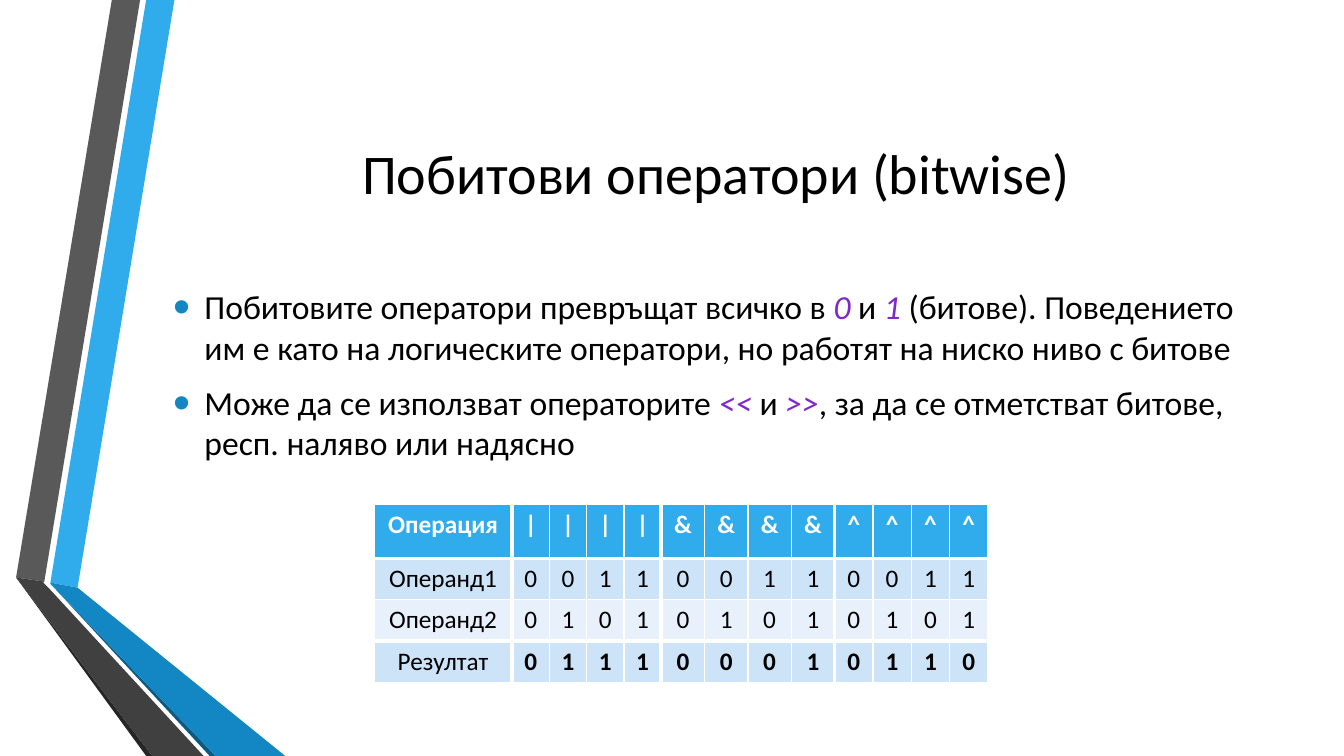
"""Build a slide on bitwise operators with a truth table."""
from pptx import Presentation
from pptx.dml.color import RGBColor
from pptx.enum.text import MSO_ANCHOR as ANCHOR, PP_ALIGN as ALIGN
from pptx.oxml.ns import qn
from pptx.util import Inches, Pt
from lxml.etree import SubElement, Element

FONT = "Calibri"
BLACK = RGBColor(0x00, 0x00, 0x00)
WHITE = RGBColor(0xFF, 0xFF, 0xFF)
PURPLE = RGBColor(0x7E, 0x28, 0xCD)
SKY = RGBColor(0x30, 0xAC, 0xEC)
BLUE = RGBColor(0x12, 0x87, 0xC3)
NAVY = RGBColor(0x0C, 0x5A, 0x82)
GRAY = RGBColor(0x59, 0x59, 0x59)
DARK_GRAY = RGBColor(0x40, 0x40, 0x40)
CHARCOAL = RGBColor(0x26, 0x26, 0x26)
BAND = RGBColor(0xCD, 0xE3, 0xF8)
PALE_BAND = RGBColor(0xE8, 0xF1, 0xFB)

RIBBONS = [
    (SKY, [(0.5, 5.78), (0.77, 5.83), (1.73, 0), (1.45, 0)]),
    (GRAY, [(1.39, 0), (1.11, 0), (0.16, 5.73), (0.44, 5.77)]),
    (CHARCOAL, [(0.16, 5.73), (1.45, 7.5), (1.51, 7.5)]),
    (NAVY, [(0.5, 5.79), (2.08, 7.5), (2.14, 7.5)]),
    (BLUE, [(0.5, 5.79), (2.14, 7.5), (2.83, 7.5), (0.77, 5.83), (0.5, 5.78)]),
    (DARK_GRAY, [(2.02, 7.5), (0.48, 5.83), (0.43, 5.78), (0.44, 5.77),
                 (0.16, 5.73), (1.51, 7.5)]),
]

TITLE = "Побитови оператори (bitwise)"
BULLETS = [
    [("Побитовите оператори превръщат всичко в ", False), ("0 ", True),
     ("и ", False), ("1", True),
     (" (битове). Поведението им е като на логическите оператори, "
      "но работят на ниско ниво с битове", False)],
    [("Може да се използват операторите ", False), ("<<", True),
     (" и ", False), (">>", True),
     (", за да се отметстват битове, респ. наляво или надясно", False)],
]

TRUTH_TABLE = [
    ("Операция", "||||&&&&^^^^"),
    ("Операнд1", "001100110011"),
    ("Операнд2", "010101010101"),
    ("Резултат", "011100010110"),
]
ROW_FILLS = [SKY, BAND, PALE_BAND, BAND]
COL_WIDTHS = [1.37] + [0.37] * 4 + [0.43] * 4 + [0.38] * 4
ROW_HEIGHTS = [0.54] + [0.41] * 3
THICK_AFTER_COLS = {0, 4, 8}
THICK_AFTER_ROWS = {0, 2}


def style(r, size, color, bold=False, italic=False):
    r.font.name = FONT
    r.font.size = Pt(size)
    r.font.color.rgb = color
    r.font.bold = bold
    r.font.italic = italic


def add_ribbon(slide, color, points):
    pts = [(Inches(x), Inches(y)) for x, y in points]
    builder = slide.shapes.build_freeform(*pts[0])
    builder.add_line_segments(pts[1:], close=True)
    sp = builder.convert_to_shape()
    sp.shadow.inherit = False
    sp.fill.solid()
    sp.fill.fore_color.rgb = color
    sp.line.fill.background()


def add_text(slide, top, height):
    sp = slide.shapes.add_textbox(Inches(1.62), Inches(top), Inches(10.96), Inches(height))
    tf = sp.text_frame
    tf.word_wrap = True
    tf.vertical_anchor = ANCHOR.MIDDLE
    return tf


def set_bullet(p):
    pPr = p._p.get_or_add_pPr()
    pPr.set("marL", str(Inches(0.31)))
    pPr.set("indent", str(-Inches(0.31)))
    SubElement(SubElement(pPr, qn("a:buClr")), qn("a:srgbClr")).set("val", str(BLUE))
    SubElement(pPr, qn("a:buSzPct")).set("val", "145000")
    SubElement(pPr, qn("a:buFont")).set("typeface", "Arial")
    SubElement(pPr, qn("a:buChar")).set("char", "•")


def set_borders(cell, row, col):
    widths = {
        "a:lnL": 3 if col - 1 in THICK_AFTER_COLS else 1,
        "a:lnR": 3 if col in THICK_AFTER_COLS else 1,
        "a:lnT": 3 if row - 1 in THICK_AFTER_ROWS else 1,
        "a:lnB": 3 if row in THICK_AFTER_ROWS else 1,
    }
    tcPr = cell._tc.get_or_add_tcPr()
    for i, (tag, width) in enumerate(widths.items()):
        ln = Element(qn(tag), w=str(Pt(width)))
        fill = SubElement(ln, qn("a:solidFill"))
        SubElement(fill, qn("a:srgbClr")).set("val", str(WHITE))
        tcPr.insert(i, ln)


def add_truth_table(slide):
    table = slide.shapes.add_table(
        len(ROW_HEIGHTS), len(COL_WIDTHS), Inches(3.71), Inches(5),
        Inches(sum(COL_WIDTHS)), Inches(sum(ROW_HEIGHTS))).table
    for column, width in zip(table.columns, COL_WIDTHS):
        column.width = Inches(width)
    last = len(TRUTH_TABLE) - 1
    for row, (label, bits) in enumerate(TRUTH_TABLE):
        table.rows[row].height = Inches(ROW_HEIGHTS[row])
        for col, text in enumerate([label, *bits]):
            cell = table.cell(row, col)
            cell.fill.solid()
            cell.fill.fore_color.rgb = ROW_FILLS[row]
            set_borders(cell, row, col)
            p = cell.text_frame.paragraphs[0]
            p.text = text
            p.alignment = ALIGN.CENTER
            bold = row == 0 or (row == last and col > 0)
            style(p.runs[0], 18, BLACK if row else WHITE, bold)


def main():
    prs = Presentation()
    prs.slide_width, prs.slide_height = Inches(13.33), Inches(7.5)
    slide = prs.slides.add_slide(prs.slide_layouts[6])
    for color, points in RIBBONS:
        add_ribbon(slide, color, points)

    p = add_text(slide, 0.75, 1.92).paragraphs[0]
    p.text = TITLE
    p.alignment = ALIGN.CENTER
    style(p.runs[0], 40, BLACK)

    tf = add_text(slide, 2.43, 2.57)
    for i, parts in enumerate(BULLETS):
        p = tf.add_paragraph() if i else tf.paragraphs[0]
        p.space_before, p.space_after = Pt(4.8), Pt(6)
        set_bullet(p)
        for text, accent in parts:
            r = p.add_run()
            r.text = text
            style(r, 24, PURPLE if accent else BLACK, italic=accent)

    add_truth_table(slide)
    prs.save("out.pptx")


if __name__ == "__main__":
    main()
